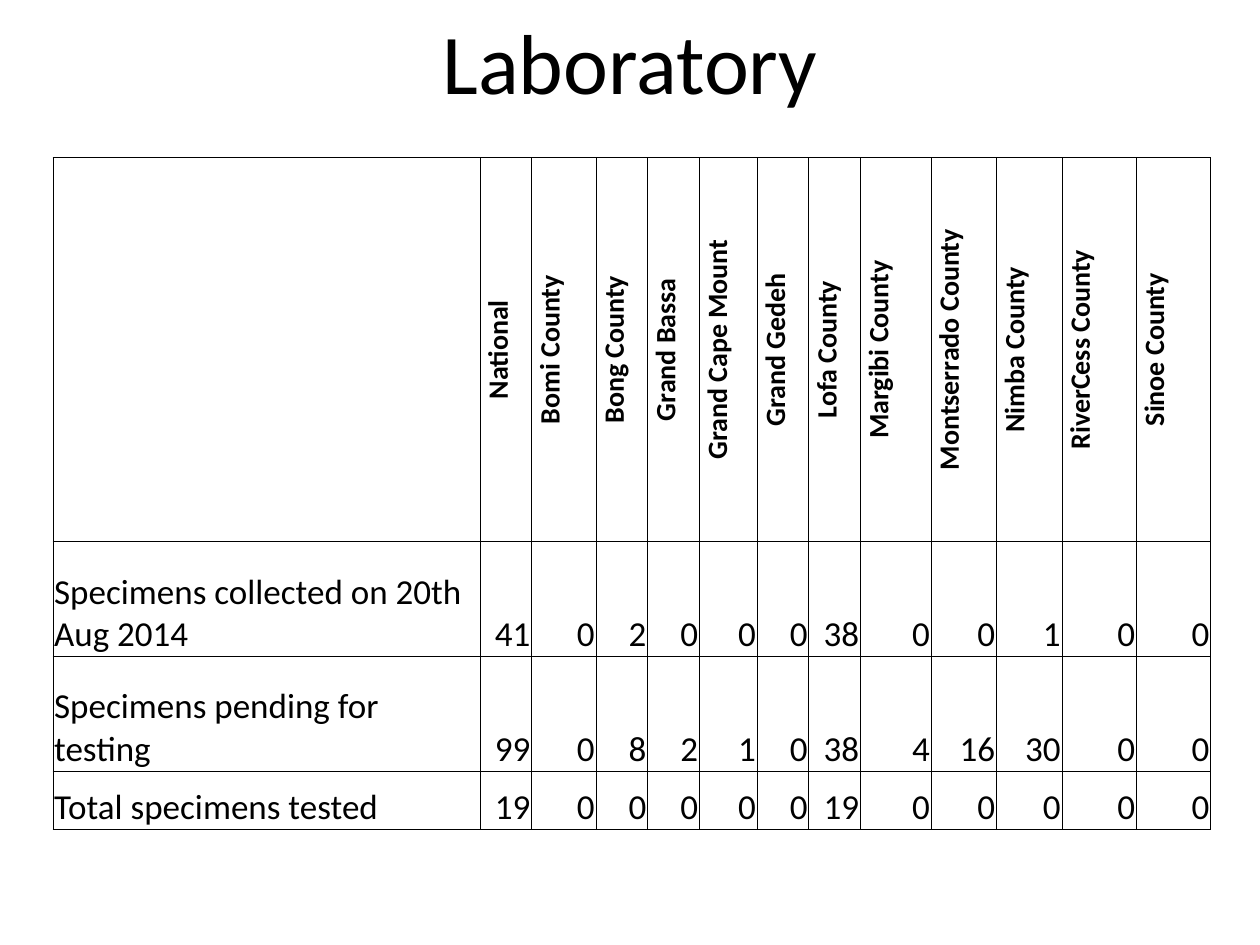
from lxml.etree import SubElement
from pptx import Presentation
from pptx.dml.color import RGBColor
from pptx.enum.text import MSO_ANCHOR as Anchor, MSO_AUTO_SIZE as AutoSize, PP_ALIGN as Align
from pptx.oxml.ns import qn
from pptx.util import Inches, Pt

FONT, INK = "Calibri", "000000"
COUNTIES = ["National", "Bomi County", "Bong County", "Grand Bassa", "Grand Cape Mount",
            "Grand Gedeh", "Lofa County", "Margibi County", "Montserrado County",
            "Nimba County", "RiverCess County", "Sinoe County"]
SPECIMENS = [
    ("Specimens collected on 20th Aug 2014", 41, 0, 2, 0, 0, 0, 38, 0, 0, 1, 0, 0),
    ("Specimens pending for testing", 99, 0, 8, 2, 1, 0, 38, 4, 16, 30, 0, 0),
    ("Total specimens tested", 19, 0, 0, 0, 0, 0, 19, 0, 0, 0, 0, 0),
]
COLUMNS = [3.39, 0.41, 0.51, 0.41, 0.41, 0.46, 0.41, 0.41, 0.56, 0.52, 0.52, 0.59, 0.59]
ROWS = [3.05, 0.91, 0.91, 0.46]


def color(value):
    return RGBColor.from_string(value)


def write(tf, text, size, align, bold=False):
    tf.text = text
    p = tf.paragraphs[0]
    p.alignment = align
    for r in p.runs:
        r.font.name, r.font.size, r.font.bold = FONT, Pt(size), bold
        r.font.color.rgb = color(INK)


def add_borders(cell, width=0.5):
    tc_pr = cell._tc.get_or_add_tcPr()
    for side in ("lnL", "lnR", "lnT", "lnB"):
        line = SubElement(tc_pr, qn(f"a:{side}"), w=str(Pt(width)))
        fill = SubElement(line, qn("a:solidFill"))
        SubElement(fill, qn("a:srgbClr"), val=INK)


def place_title(s, text, x, y, w, h):
    title = s.shapes.title
    title.left, title.top, title.width, title.height = map(Inches, (x, y, w, h))
    tf = title.text_frame
    write(tf, text, 48.6, Align.CENTER)
    tf.auto_size = AutoSize.NONE
    tf.vertical_anchor = Anchor.MIDDLE


def fill_cell(cell, text, is_header, is_label):
    add_borders(cell)
    cell.fill.background()
    if not text:
        return
    cell.margin_left = cell.margin_right = cell.margin_top = Inches(0.01)
    cell.margin_bottom = 0
    if is_header:
        cell._tc.get_or_add_tcPr().set("vert", "vert270")
        cell.vertical_anchor = Anchor.MIDDLE
        write(cell.text_frame, text, 16, Align.CENTER, bold=True)
    else:
        cell.vertical_anchor = Anchor.BOTTOM
        write(cell.text_frame, text, 20, Align.LEFT if is_label else Align.RIGHT)


def place_table(s, x, y):
    data = [["", *COUNTIES], *SPECIMENS]
    box = map(Inches, (x, y, sum(COLUMNS), sum(ROWS)))
    table = s.shapes.add_table(len(ROWS), len(COLUMNS), *box).table
    table.first_row = table.horz_banding = False
    for column, width in zip(table.columns, COLUMNS):
        column.width = Inches(width)
    for i, (row, height) in enumerate(zip(table.rows, ROWS)):
        row.height = Inches(height)
        for j, value in enumerate(data[i]):
            fill_cell(table.cell(i, j), str(value), is_header=i == 0, is_label=j == 0)


def main():
    prs = Presentation()
    prs.slide_width, prs.slide_height = Inches(10), Inches(7.5)
    s = prs.slides.add_slide(prs.slide_layouts[5])
    s.background.fill.solid()
    s.background.fill.fore_color.rgb = color("FFFFFF")

    # Title
    place_title(s, "Laboratory", 0.5, 0.17, 9, 0.62)
    # Specimens by county
    place_table(s, 0.42, 1.25)

    prs.save("out.pptx")


if __name__ == "__main__":
    main()
